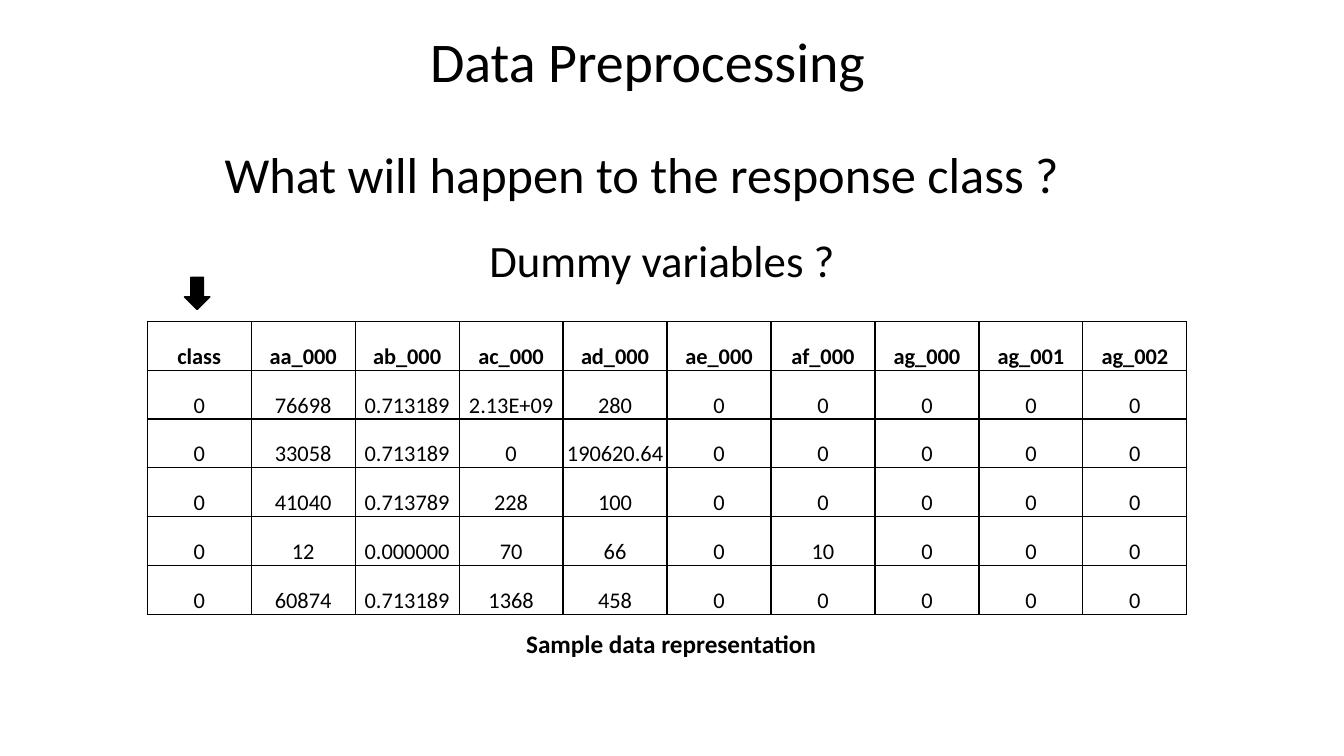
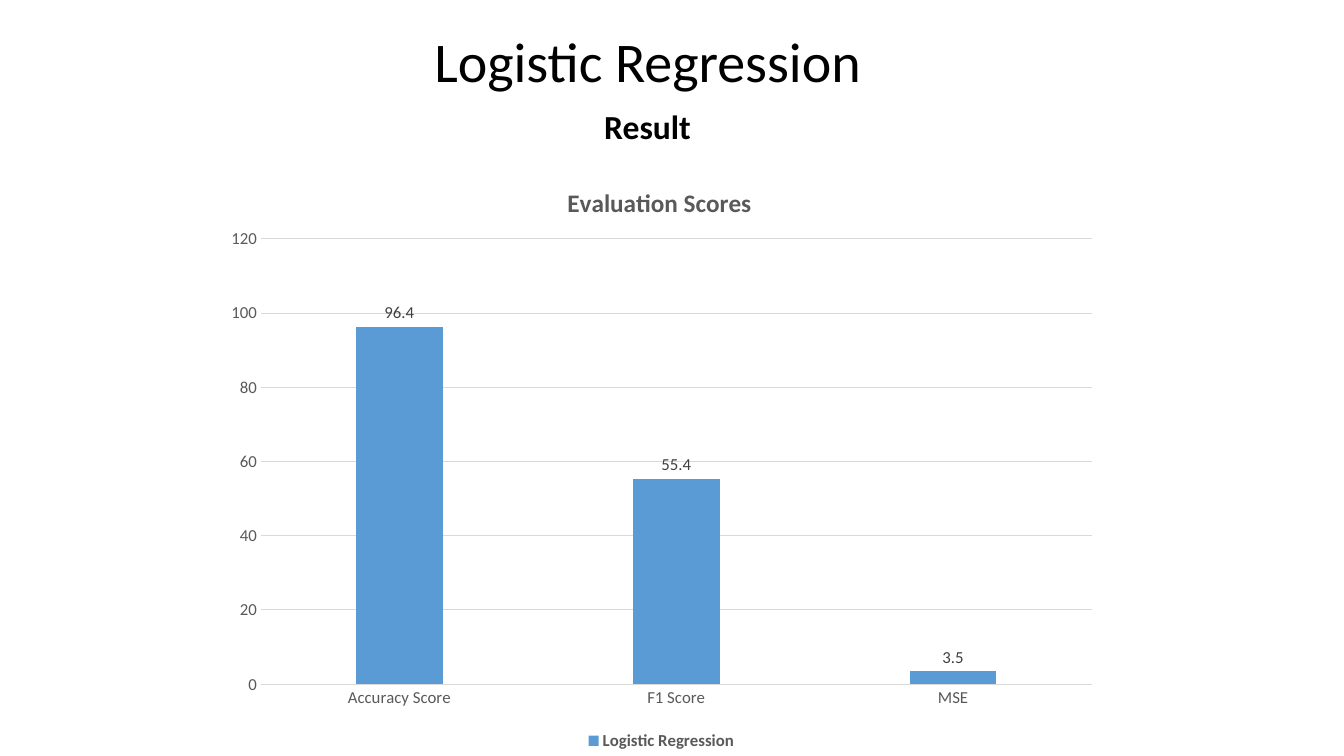
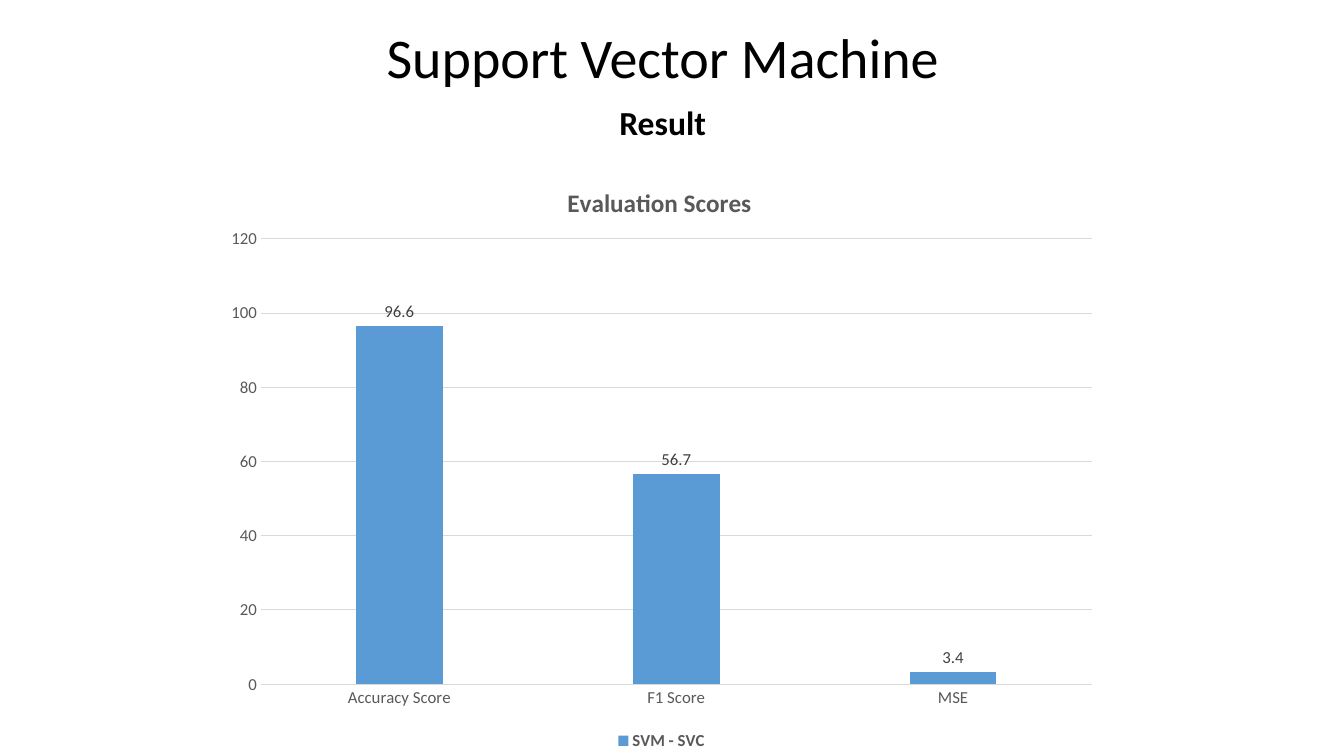
from lxml.etree import SubElement
from pptx import Presentation
from pptx.chart.data import CategoryChartData
from pptx.dml.color import RGBColor
from pptx.enum.chart import XL_CHART_TYPE as ChartType, XL_LABEL_POSITION as LabelPosition
from pptx.enum.chart import XL_LEGEND_POSITION as LegendPosition, XL_TICK_MARK as TickMark
from pptx.enum.shapes import MSO_SHAPE as Preset
from pptx.enum.text import MSO_ANCHOR as Anchor, MSO_AUTO_SIZE as AutoSize, PP_ALIGN as Align
from pptx.oxml import parse_xml
from pptx.oxml.ns import nsdecls, qn
from pptx.util import Cm, Pt

FONT = "Calibri"
BLACK = RGBColor(0x00, 0x00, 0x00)
GREY = RGBColor(0x59, 0x59, 0x59)
LABEL_GREY = RGBColor(0x40, 0x40, 0x40)
GRID_GREY = RGBColor(0xD9, 0xD9, 0xD9)
BAR_BLUE = RGBColor(0x5B, 0x9B, 0xD5)

QUESTIONS = [
    ("What will happen to the response class ? ", 36, (0.46, 3.48, 31.72, 1.8)),
    ("Dummy variables ? ", 32, (0.99, 5.74, 31.65, 1.63)),
]
CAPTION = "Sample data representation"
SAMPLE = [
    ("class", "aa_000", "ab_000", "ac_000", "ad_000", "ae_000", "af_000", "ag_000", "ag_001", "ag_002"),
    ("0", "76698", "0.713189", "2.13E+09", "280", "0", "0", "0", "0", "0"),
    ("0", "33058", "0.713189", "0", "190620.64", "0", "0", "0", "0", "0"),
    ("0", "41040", "0.713789", "228", "100", "0", "0", "0", "0", "0"),
    ("0", "12", "0.000000", "70", "66", "0", "10", "0", "0", "0"),
    ("0", "60874", "0.713189", "1368", "458", "0", "0", "0", "0", "0"),
]
COLUMN_WIDTH, ROW_HEIGHT = 2.62, 1.23

METRICS = ("Accuracy Score", "F1 Score", "MSE")
RESULTS = [
    ("Logistic Regression", "Logistic Regression", (96.4, 55.4, 3.5), 6.25, 0.53),
    ("Support Vector Machine", "SVM - SVC", (96.6, 56.7, 3.4), 6.63, 0.43),
]


def style_font(font, size, color, bold=False):
    font.name = FONT
    font.size = Pt(size)
    font.bold = bold
    font.color.rgb = color


def write(frame, text, size, bold=False):
    para = frame.paragraphs[0]
    para.alignment = Align.CENTER
    span = para.add_run()
    span.text = text
    style_font(span.font, size, BLACK, bold)


def add_slide(deck, title, left=6.25, top=0.53):
    page = deck.slides.add_slide(deck.slide_layouts[5])
    box = page.shapes.title
    box.left, box.top, box.width, box.height = Cm(left), Cm(top), Cm(20.14), Cm(1.96)
    box.text_frame.vertical_anchor = Anchor.TOP
    box.text_frame.auto_size = AutoSize.NONE
    write(box.text_frame, title, 40)
    return page


def add_text(page, text, size, place, bold=False):
    frame = page.shapes.add_textbox(*map(Cm, place)).text_frame
    frame.word_wrap = True
    write(frame, text, size, bold)


def add_borders(cell):
    properties = cell._tc.get_or_add_tcPr()
    for side in ("a:lnL", "a:lnR", "a:lnT", "a:lnB"):
        line = SubElement(properties, qn(side), w=str(Pt(1)))
        SubElement(SubElement(line, qn("a:solidFill")), qn("a:srgbClr"), val=str(BLACK))


def add_sample_table(page):
    rows, columns = len(SAMPLE), len(SAMPLE[0])
    table = page.shapes.add_table(
        rows, columns, Cm(3.71), Cm(8.1), Cm(columns * COLUMN_WIDTH), Cm(rows * ROW_HEIGHT)
    ).table
    table.horz_banding = False
    for column in table.columns:
        column.width = Cm(COLUMN_WIDTH)
    for row_index, values in enumerate(SAMPLE):
        table.rows[row_index].height = Cm(ROW_HEIGHT)
        for column_index, value in enumerate(values):
            cell = table.cell(row_index, column_index)
            cell.margin_left = cell.margin_right = cell.margin_top = Cm(0.02)
            cell.margin_bottom = 0
            cell.vertical_anchor = Anchor.BOTTOM
            add_borders(cell)
            cell.fill.background()
            write(cell.text_frame, value, 16, row_index == 0)


def add_class_arrow(page):
    arrow = page.shapes.add_shape(Preset.DOWN_ARROW, Cm(4.65), Cm(6.99), Cm(0.64), Cm(0.81))
    arrow.shadow.inherit = False
    arrow.fill.solid()
    arrow.fill.fore_color.rgb = BLACK
    arrow.line.color.rgb = BLACK
    arrow.line.width = Pt(1)


def manual_layout(**numbers):
    modes = '<c:layoutTarget val="inner"/>' if "w" in numbers else ""
    modes += '<c:xMode val="edge"/><c:yMode val="edge"/>'
    values = "".join(f'<c:{name} val="{number}"/>' for name, number in numbers.items())
    return parse_xml(
        f'<c:layout {nsdecls("c")}><c:manualLayout>{modes}{values}</c:manualLayout></c:layout>'
    )


def place_plot_and_title(chart):
    plot_area = chart._chartSpace.chart.plotArea
    for layout in plot_area.findall(qn("c:layout")):
        plot_area.remove(layout)
    plot_area.insert(0, manual_layout(x=0.053, y=0.137, w=0.927, h=0.745))
    title = chart.chart_title._element
    for layout in title.findall(qn("c:layout")):
        title.remove(layout)
    title.find(qn("c:tx")).addnext(manual_layout(x=0.39, y=0.04))


def add_score_chart(page, name, scores):
    data = CategoryChartData()
    data.categories = METRICS
    data.add_series(name, scores)
    chart = page.shapes.add_chart(
        ChartType.COLUMN_CLUSTERED, Cm(5.38), Cm(3.96), Cm(22.58), Cm(15.06), data
    ).chart
    style_font(chart.font, 10, BLACK)

    chart.has_title = True
    span = chart.chart_title.text_frame.paragraphs[0].add_run()
    span.text = "Evaluation Scores"
    style_font(span.font, 18, GREY, True)

    chart.has_legend = True
    chart.legend.position = LegendPosition.BOTTOM
    chart.legend.include_in_layout = False
    style_font(chart.legend.font, 12, GREY, True)

    for axis in (chart.category_axis, chart.value_axis):
        axis.major_tick_mark = axis.minor_tick_mark = TickMark.NONE
        style_font(axis.tick_labels.font, 12, GREY)
    scale = chart.value_axis
    scale.minimum_scale, scale.maximum_scale, scale.major_unit = 0, 120, 20
    scale.format.line.fill.background()
    for line in (chart.category_axis.format.line, scale.major_gridlines.format.line):
        line.color.rgb = GRID_GREY
        line.width = Pt(0.75)

    plot = chart.plots[0]
    plot.vary_by_categories = False
    plot.gap_width, plot.overlap = 219, -27
    bars = plot.series[0]
    bars.format.fill.solid()
    bars.format.fill.fore_color.rgb = BAR_BLUE
    labels = bars.data_labels
    labels.show_value = True
    labels.position = LabelPosition.OUTSIDE_END
    style_font(labels.font, 12, LABEL_GREY)
    place_plot_and_title(chart)


def main():
    deck = Presentation()
    deck.slide_width, deck.slide_height = Cm(33.87), Cm(19.05)

    page = add_slide(deck, "Data Preprocessing")
    for text, size, place in QUESTIONS:
        add_text(page, text, size, place)
    add_sample_table(page)
    add_text(page, CAPTION, 18, (12.85, 15.72, 8.13, 1.02), True)
    add_class_arrow(page)

    for title, name, scores, left, top in RESULTS:
        page = add_slide(deck, title, left, top)
        add_score_chart(page, name, scores)
        add_text(page, "Result", 24, (left - 0.46, top + 2.02, 21.06, 1.27), True)

    deck.save("out.pptx")


if __name__ == "__main__":
    main()
